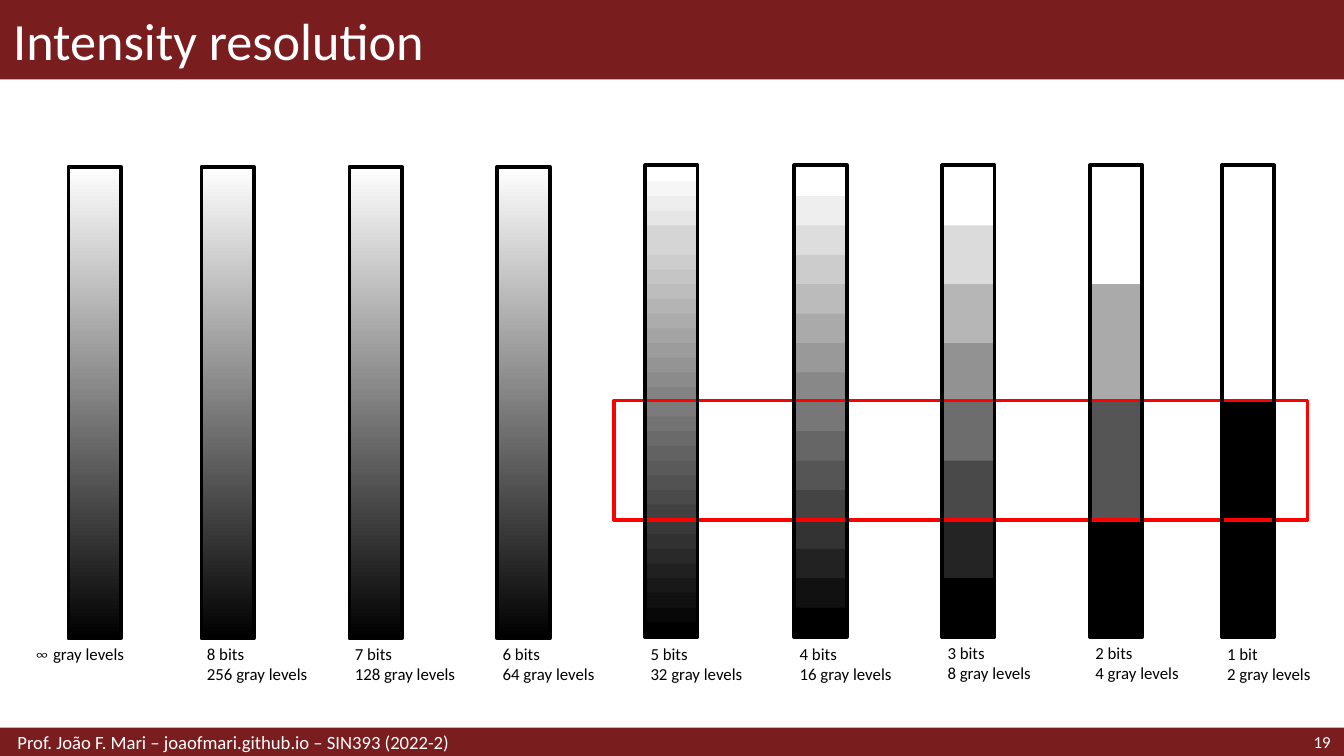
"""Build the slide that compares gray scales from infinite levels down to 1 bit."""
from dataclasses import dataclass

from pptx import Presentation
from pptx.dml.color import RGBColor
from pptx.enum.shapes import MSO_SHAPE as Preset
from pptx.enum.text import MSO_ANCHOR as Anchor, PP_ALIGN as Align
from pptx.shapes.autoshape import Shape
from pptx.slide import Slide
from pptx.util import Inches, Pt

WHITE = RGBColor(0xFF, 0xFF, 0xFF)
BLACK = RGBColor(0x00, 0x00, 0x00)
RED = RGBColor(0xFF, 0x00, 0x00)
MAROON = RGBColor(0x79, 0x1D, 0x1F)

SLIDE_WIDTH = 10
SLIDE_HEIGHT = SLIDE_WIDTH * 9 / 16
SCALE_TOP, SCALE_WIDTH, SCALE_HEIGHT = 1.24, 0.39, 3.51
BANDS_HEIGHT = 3.5
BAND_OVERLAP = 0.01


@dataclass(frozen=True)
class Box:
    left: float
    top: float
    width: float
    height: float


@dataclass(frozen=True)
class TextRun:
    text: str
    size: float = 9
    color: RGBColor = BLACK
    font: str = "Calibri"


@dataclass(frozen=True)
class Scale:
    left: float
    label: Box
    lines: tuple[tuple[TextRun, ...], ...]
    grays: tuple[int, ...] = ()

    def frame(self, top: float = SCALE_TOP) -> Box:
        return Box(self.left, top, SCALE_WIDTH, SCALE_HEIGHT)


def gray_ramp(levels: int) -> tuple[int, ...]:
    return tuple(round(255 * (1 - i / (levels - 1))) for i in range(levels))


def bit_scale(left: float, bits: int, label_top: float = 4.75,
              label_width: float = 0.98, grays: tuple[int, ...] = ()) -> Scale:
    unit = "bit" if bits == 1 else "bits"
    lines = ((TextRun(f"{bits} {unit}"),), (TextRun(f"{2 ** bits} gray levels"),))
    return Scale(left, Box(left, label_top, label_width, 0.34), lines, grays)


FIVE_BIT_RAMP = tuple(255 * (31 - i) // 31 for i in range(32))
FIVE_BIT_GRAYS = FIVE_BIT_RAMP[:4] + FIVE_BIT_RAMP[5:6] + FIVE_BIT_RAMP[5:]

SMOOTH_SCALES = (
    Scale(0.51, Box(0.22, 4.75, 0.98, 0.34),
          ((TextRun("∞", font="Cambria"), TextRun(" gray levels")),)),
    bit_scale(1.5, 8, label_width=1.1),
    bit_scale(2.6, 7, label_width=1.1),
    bit_scale(3.7, 6),
)
STEPPED_SCALES = (
    bit_scale(4.8, 5, grays=FIVE_BIT_GRAYS),
    bit_scale(5.91, 4, grays=gray_ramp(16)),
    bit_scale(7.01, 3, label_top=4.74, grays=gray_ramp(8)),
    bit_scale(8.11, 2, label_top=4.74, grays=gray_ramp(4)),
    bit_scale(9.09, 1, grays=gray_ramp(2)),
)


def add_rectangle(slide: Slide, box: Box) -> Shape:
    rectangle = slide.shapes.add_shape(
        Preset.RECTANGLE, Inches(box.left), Inches(box.top),
        Inches(box.width), Inches(box.height))
    rectangle.shadow.inherit = False
    return rectangle


def add_block(slide: Slide, box: Box, color: RGBColor) -> None:
    block = add_rectangle(slide, box)
    block.fill.solid()
    block.fill.fore_color.rgb = color
    block.line.fill.background()


def add_outline(slide: Slide, box: Box, color: RGBColor) -> None:
    outline = add_rectangle(slide, box)
    outline.fill.background()
    outline.line.color.rgb = color
    outline.line.width = Pt(2)


def add_gradient(slide: Slide, box: Box) -> None:
    gradient = add_rectangle(slide, box)
    gradient.fill.gradient()
    gradient.fill.gradient_angle = 270
    for stop, color in zip(gradient.fill.gradient_stops, (WHITE, BLACK)):
        stop.color.rgb = color
    gradient.line.fill.background()


def add_bands(slide: Slide, scale: Scale) -> None:
    pitch = BANDS_HEIGHT / len(scale.grays)
    for i, gray in enumerate(scale.grays):
        band = Box(scale.left, SCALE_TOP + i * pitch, SCALE_WIDTH, pitch + BAND_OVERLAP)
        add_block(slide, band, RGBColor(gray, gray, gray))


def add_text(slide: Slide, box: Box, lines: tuple[tuple[TextRun, ...], ...],
             side_inset: float = 0.1, edge_inset: float = 0.0,
             anchor: Anchor = Anchor.MIDDLE, align: Align = Align.LEFT) -> None:
    frame = slide.shapes.add_textbox(
        Inches(box.left), Inches(box.top), Inches(box.width), Inches(box.height)).text_frame
    frame.word_wrap = True
    frame.vertical_anchor = anchor
    frame.margin_left = frame.margin_right = Inches(side_inset)
    frame.margin_top = frame.margin_bottom = Inches(edge_inset)
    for i, line in enumerate(lines):
        paragraph = frame.add_paragraph() if i else frame.paragraphs[0]
        paragraph.alignment = align
        for part in line:
            run = paragraph.add_run()
            run.text = part.text
            run.font.name = part.font
            run.font.size = Pt(part.size)
            run.font.color.rgb = part.color


def add_header_and_footer(slide: Slide) -> None:
    header = Box(0, 0, SLIDE_WIDTH, 0.59)
    footer_height = 0.21
    footer_top = SLIDE_HEIGHT - footer_height
    add_block(slide, header, MAROON)
    add_block(slide, Box(0, footer_top, SLIDE_WIDTH, footer_height), MAROON)
    add_text(slide, header, ((TextRun("Intensity resolution", 28, WHITE),),))
    add_text(slide, Box(8.86, footer_top, 1.14, footer_height),
             ((TextRun("19", 9, WHITE),),), align=Align.RIGHT)
    credit = "Prof. João F. Mari – joaofmari.github.io – SIN393 (2022-2)"
    add_text(slide, Box(0, footer_top, 6.89, footer_height),
             ((TextRun(credit, 10, WHITE),),), side_inset=0.13)


def main() -> None:
    presentation = Presentation()
    presentation.slide_width = Inches(SLIDE_WIDTH)
    presentation.slide_height = Inches(SLIDE_HEIGHT)
    slide = presentation.slides.add_slide(presentation.slide_layouts[6])
    add_header_and_footer(slide)
    for scale in SMOOTH_SCALES:
        add_gradient(slide, scale.frame())
        add_outline(slide, scale.frame(), BLACK)
    for scale in STEPPED_SCALES:
        add_bands(slide, scale)
        add_outline(slide, scale.frame(), WHITE)
    add_outline(slide, Box(4.57, 2.98, 5.16, 0.89), RED)
    for scale in STEPPED_SCALES:
        add_outline(slide, scale.frame(top=1.23), BLACK)
    for scale in SMOOTH_SCALES + STEPPED_SCALES:
        add_text(slide, scale.label, scale.lines, 0.04, 0.04, Anchor.TOP)
    presentation.save("out.pptx")


if __name__ == "__main__":
    main()
